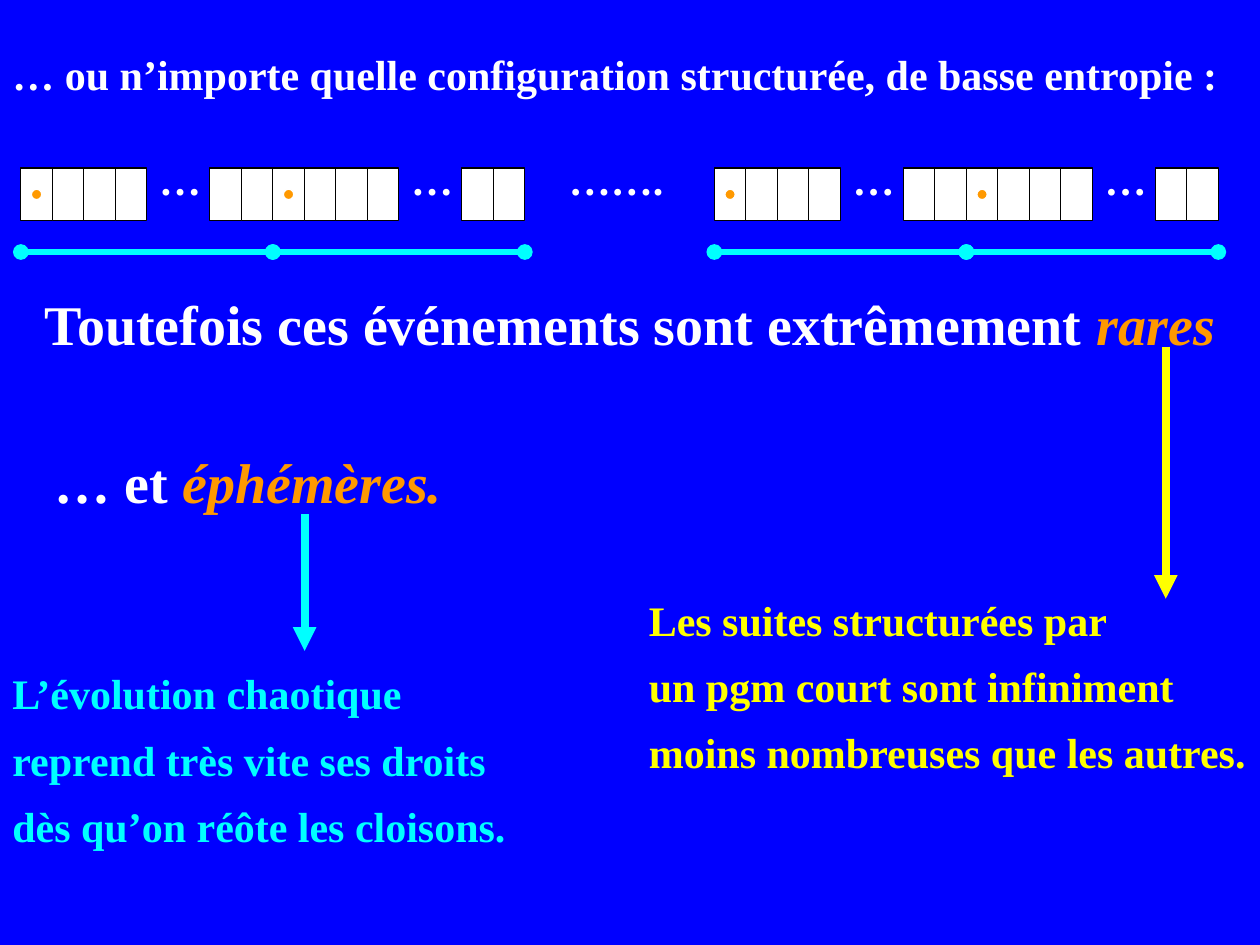
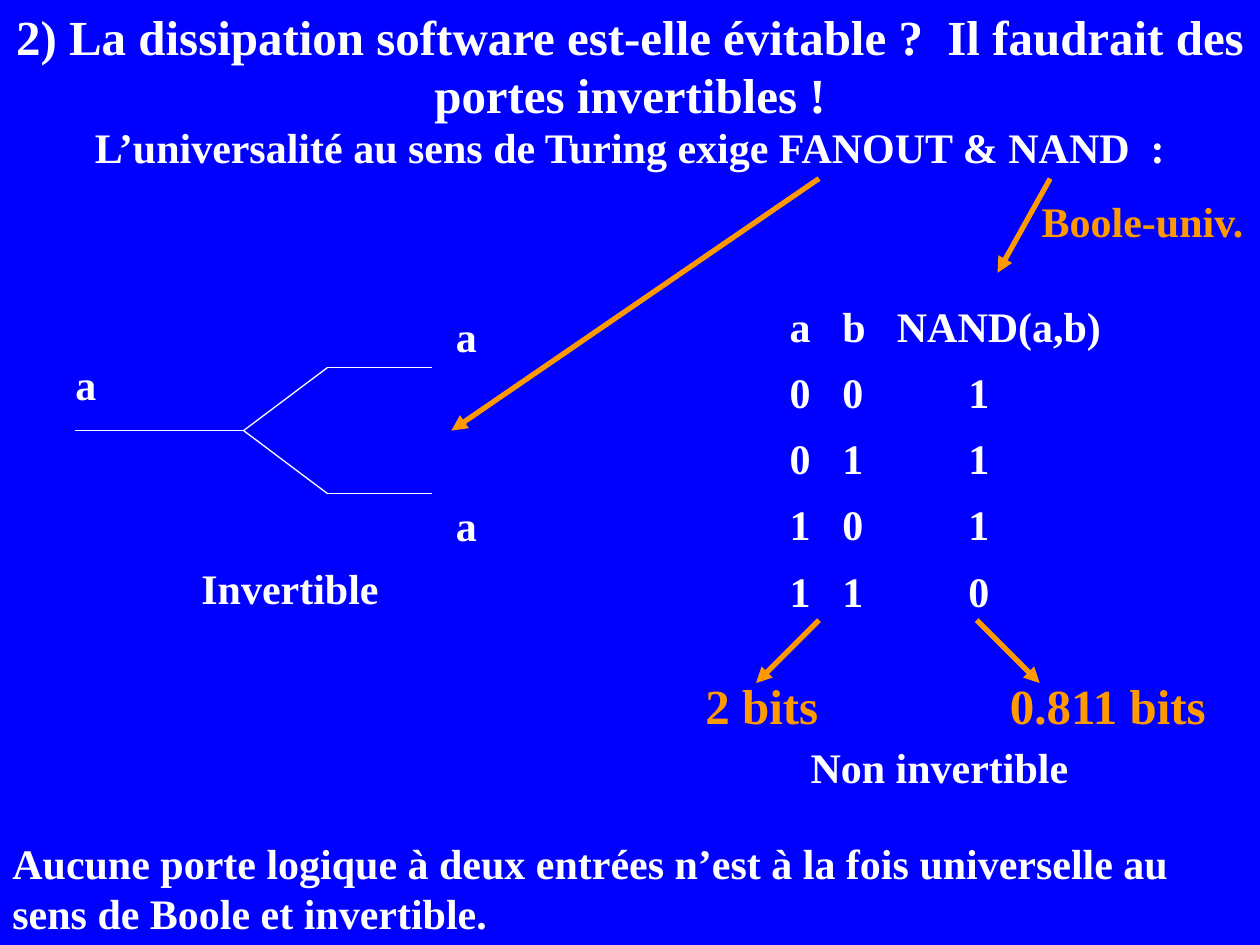
from pptx import Presentation
from pptx.dml.color import RGBColor
from pptx.enum.shapes import MSO_CONNECTOR, MSO_SHAPE
from pptx.enum.text import MSO_AUTO_SIZE, PP_ALIGN
from pptx.oxml.ns import qn
from pptx.util import Cm, Pt
from lxml.etree import SubElement

COLORS = {
    "blue": "0000FF",
    "white": "FFFFFF",
    "black": "000000",
    "orange": "FF9900",
    "yellow": "FFFF00",
    "cyan": "00FFFF",
}
FONT = "Times New Roman"
WIDTH, HEIGHT = 25.4, 19.05


def rgb(name):
    return RGBColor.from_string(COLORS[name])


class Deck:
    """Shared style and the slide being filled; lengths are in centimetres."""

    def __init__(self):
        self.prs = Presentation()
        self.prs.slide_width, self.prs.slide_height = Cm(WIDTH), Cm(HEIGHT)
        fill = self.prs.slide_master.background.fill
        fill.solid()
        fill.fore_color.rgb = rgb("blue")
        self.s = None

    def slide(self):
        self.s = self.prs.slides.add_slide(self.prs.slide_layouts[6])

    def style(self, r, size, color, italic=False):
        r.font.name, r.font.size = FONT, Pt(size)
        r.font.bold = True
        if italic:
            r.font.italic = True
        r.font.color.rgb = rgb(color)

    def text(self, x, y, w, h, *lines, size=24, color="white", accent=None,
             align=PP_ALIGN.LEFT, tight=True, tabs=None):
        """Write one paragraph per line; accent ends the last one in orange
        italics; tight drops the right inset so that a label stays on its
        line; tabs gives a list of tab stops for each line."""
        sp = self.s.shapes.add_textbox(Cm(x), Cm(y), Cm(w), Cm(h))
        tf = sp.text_frame
        tf.word_wrap = True
        tf.auto_size = MSO_AUTO_SIZE.SHAPE_TO_FIT_TEXT
        if tight:
            tf.margin_right = 0
        tf.text = "\n".join(lines)
        for i, p in enumerate(tf.paragraphs):
            p.alignment = align
            if i:
                p.space_before = Pt(9)
            if tabs:
                stops = SubElement(p._p.get_or_add_pPr(), qn("a:tabLst"))
                for pos in tabs[i]:
                    SubElement(stops, qn("a:tab"), pos=str(Cm(pos)), algn="l")
            for r in p.runs:
                self.style(r, size, color)
        if accent:
            r = p.add_run()
            r.text = accent
            self.style(r, size, "orange", italic=True)

    def shape(self, kind, x, y, w, h, fill, line):
        sp = self.s.shapes.add_shape(kind, Cm(x), Cm(y), Cm(w), Cm(h))
        sp.shadow.inherit = False
        sp.fill.solid()
        sp.fill.fore_color.rgb = rgb(fill)
        sp.line.color.rgb = rgb(line)
        sp.line.width = Pt(0.75)

    def line(self, start, end, color, width, head=None, tail=None):
        c = self.s.shapes.add_connector(
            MSO_CONNECTOR.STRAIGHT, *(Cm(v) for v in (*start, *end)))
        c.line.color.rgb = rgb(color)
        c.line.width = Pt(width)
        ln = c.line._get_or_add_ln()
        for tag, kind in (("a:headEnd", head), ("a:tailEnd", tail)):
            if kind:
                SubElement(ln, qn(tag), type=kind)
        SubElement(c._element.spPr, qn("a:effectLst"))

    def arrow(self, start, end, color="orange", width=3):
        self.line(start, end, color, width, tail="triangle")

    def tape(self, left):
        """Row of cells in two equal halves, a particle starting each half."""
        cell, height, top, dot = 0.635, 1.06, 3.39, 0.21
        half = 8
        for i in (*range(0, 4), *range(6, 12), 14, 15):
            self.shape(MSO_SHAPE.RECTANGLE, left + i * cell, top,
                       cell, height, "white", "black")
        for i in (0, half):
            x = left + i * cell
            self.shape(MSO_SHAPE.OVAL, x + (cell - dot) / 2,
                       top + (height - dot) / 2, dot, dot, "orange", "white")
            self.text(x + 4 * cell, 2.96, 1.34, 1.27, "…")
            self.line((x, 5.08), (x + half * cell, 5.08), "cyan", 3,
                      head="oval", tail="oval")

    def save(self):
        self.prs.save("out.pptx")


def rare_events(d):
    d.slide()
    # Low-entropy configurations
    d.text(0, 0.85, 24.82, 1.27,
           "… ou n’importe quelle configuration structurée, de basse entropie :")
    for left in (0.42, 14.4):
        d.tape(left)
    d.text(11.22, 2.96, 2.42, 1.27, "…….")

    # Rare
    d.text(0, 5.72, WIDTH, 1.62, "Toutefois ces événements sont extrêmement ",
           size=32, accent="rares", align=PP_ALIGN.CENTER, tight=False)
    d.arrow((23.5, 6.99), (23.5, 12.07), "yellow", 4.5)
    d.text(12.83, 11.85, 12.57, 3.95, "Les suites structurées par",
           "un pgm court sont infiniment", "moins nombreuses que les autres.",
           color="yellow")

    # Short-lived
    d.text(0.85, 8.89, 8.3, 1.62, "… et ", size=32, accent="éphémères.")
    d.arrow((6.14, 10.37), (6.14, 13.12), "cyan", 4.5)
    d.text(0, 13.34, 10.44, 3.95, "L’évolution chaotique",
           "reprend très vite ses droits", "dès qu’on réôte les cloisons.",
           color="cyan")


def invertible_gates(d):
    d.slide()
    # Title and statement
    d.text(0, 0, WIDTH, 2.64,
           "2) La dissipation software est-elle évitable ?  "
           "Il faudrait des portes invertibles !",
           size=28, align=PP_ALIGN.CENTER, tight=False)
    d.text(0, 2.33, WIDTH, 1.27,
           "L’universalité au sens de Turing exige FANOUT & NAND  :",
           align=PP_ALIGN.CENTER, tight=False)

    # FANOUT gate
    mid, spread = 8.68, 1.27
    start, fork, bend, end = 1.52, 4.91, 6.6, 8.71
    d.line((start, mid), (fork, mid), "white", 0.75)
    for y in (mid - spread, mid + spread):
        d.line((fork, mid), (bend, y), "white", 0.75)
        d.line((bend, y), (end, y), "white", 0.75)
    for x, y in ((1.27, 7.11), (8.94, 6.14), (8.94, 9.95)):
        d.text(x, y, 0.91, 1.27, "a")
    d.text(3.81, 11.22, 4.06, 1.27, "Invertible")
    d.arrow((16.51, 3.6), (9.1, mid))

    # NAND truth table
    d.arrow((21.17, 3.6), (20.11, 5.5))
    d.text(20.75, 3.81, 4.62, 1.27, "Boole-univ.", color="orange")
    rows = [f"{a}\t{b}\t{1 - a * b}" for a in (0, 1) for b in (0, 1)]
    d.text(15.67, 5.93, 7.42, 6.6, "a\tb\tNAND(a,b)", *rows, tight=False,
           tabs=[(1.06, 2.16)] + [(1.06, 3.6)] * len(rows))

    # Information before and after the gate
    d.arrow((16.51, 12.5), (15.24, 13.77))
    d.arrow((19.69, 12.5), (20.96, 13.77))
    d.text(13.97, 13.49, 2.77, 1.45, "2 bits", size=28, color="orange")
    d.text(20.11, 13.49, 4.5, 1.45, "0.811 bits", size=28, color="orange")
    d.text(16.09, 14.82, 5.69, 1.27, "Non invertible")

    # Conclusion
    d.text(0, 16.76, WIDTH, 2.29,
           "Aucune porte logique à deux entrées n’est à la fois universelle "
           "au sens de Boole et invertible.", tight=False)


def main():
    d = Deck()
    rare_events(d)
    invertible_gates(d)
    d.save()


if __name__ == "__main__":
    main()
